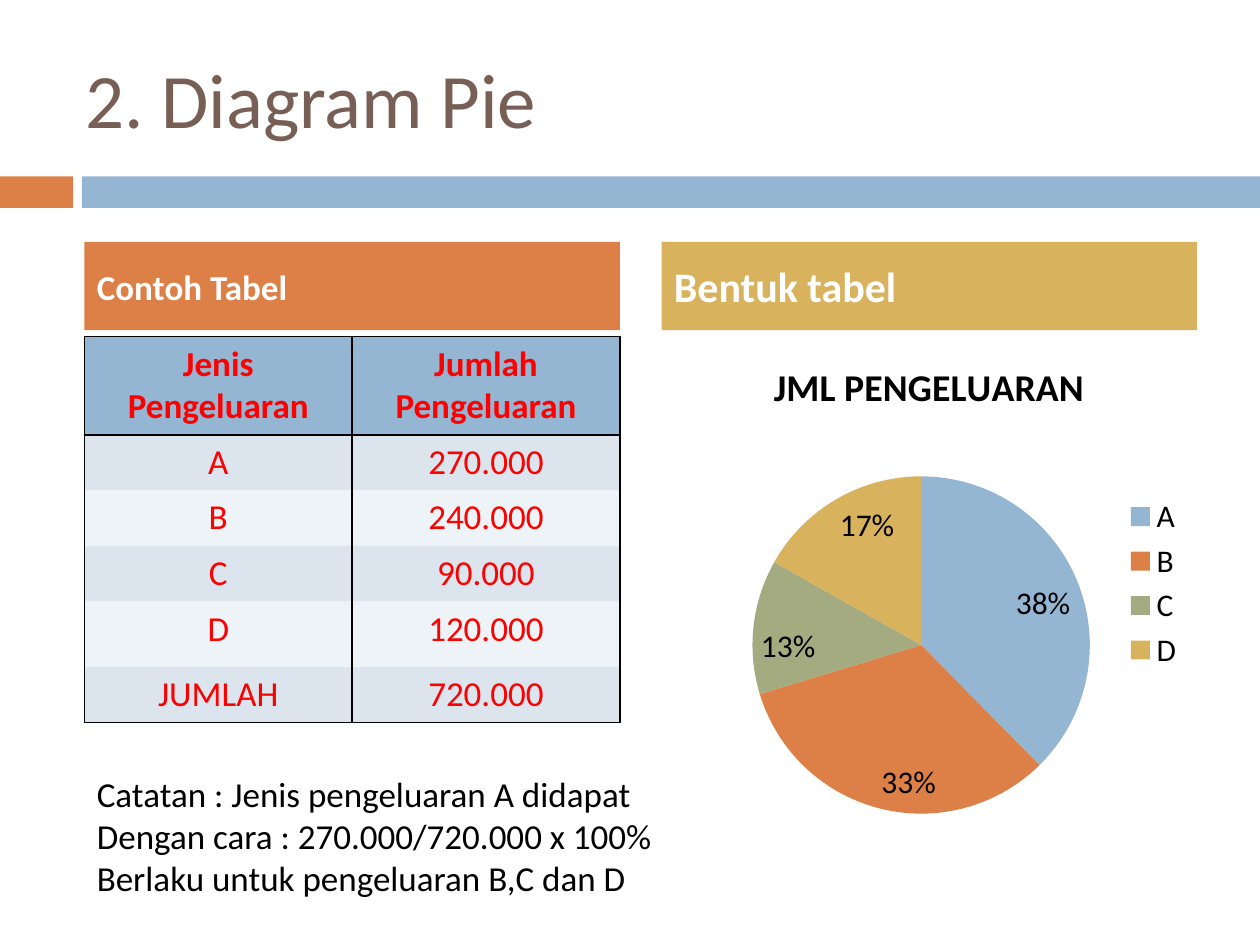
from typing import NamedTuple

import lxml.etree
import pptx
import pptx.chart.data
import pptx.dml.color
import pptx.enum.chart
import pptx.enum.shapes
import pptx.enum.text
import pptx.oxml
import pptx.oxml.ns
import pptx.util

Inches = pptx.util.Inches
Pt = pptx.util.Pt
qn = pptx.oxml.ns.qn
FONT = "Calibri"
BLUE, ORANGE, GREEN, GOLD = "94B6D2", "DD8047", "A5AB81", "D8B25C"
BLACK, WHITE, RED, BROWN = "000000", "FFFFFF", "FF0000", "775F55"
LEFT_COLUMN, RIGHT_COLUMN, COLUMN_WIDTH = 0.67, 5.25, 4.25


class Block(NamedTuple):
    left: float
    top: float
    width: float
    height: float
    color: str
    heading: str = ""
    size: float = 20


BLOCKS = [
    Block(0, 1.4, 0.58, 0.25, ORANGE),
    Block(0.65, 1.4, 9.35, 0.25, BLUE),
    Block(LEFT_COLUMN, 1.92, COLUMN_WIDTH, 0.7, ORANGE, "Contoh Tabel", 20),
    Block(RIGHT_COLUMN, 1.92, COLUMN_WIDTH, 0.7, GOLD, "Bentuk tabel", 24),
]
EXPENSES = [
    ("Jenis Pengeluaran", "Jumlah Pengeluaran"),
    ("A", "270.000"),
    ("B", "240.000"),
    ("C", "90.000"),
    ("D", "120.000"),
    ("JUMLAH", "720.000"),
]
ROW_HEIGHTS = [0.78, 0.44, 0.44, 0.44, 0.52, 0.44]
SHARES = [("A", 0.38, BLUE), ("B", 0.33, ORANGE), ("C", 0.13, GREEN), ("D", 0.17, GOLD)]
NOTE = [
    "Catatan : Jenis pengeluaran A didapat",
    "Dengan cara : 270.000/720.000 x 100%",
    "Berlaku untuk pengeluaran B,C dan D",
]


def rgb(color: str) -> pptx.dml.color.RGBColor:
    return pptx.dml.color.RGBColor.from_string(color)


def paint(fill, color: str) -> None:
    fill.solid()
    fill.fore_color.rgb = rgb(color)


def style(font, size: float, color: str, bold: bool = False) -> None:
    font.name = FONT
    font.size = Pt(size)
    font.bold = bold
    font.color.rgb = rgb(color)


def write(paragraph, text: str, size: float, color: str, bold: bool = False) -> None:
    run = paragraph.add_run()
    run.text = text
    style(run.font, size, color, bold)


def draw_block(slide, block: Block) -> None:
    shape = slide.shapes.add_shape(
        pptx.enum.shapes.MSO_SHAPE.RECTANGLE,
        *(Inches(length) for length in block[:4]))
    shape.shadow.inherit = False
    paint(shape.fill, block.color)
    shape.line.fill.background()
    if block.heading:
        frame = shape.text_frame
        frame.vertical_anchor = pptx.enum.text.MSO_ANCHOR.MIDDLE
        heading = frame.paragraphs[0]
        heading.alignment = pptx.enum.text.PP_ALIGN.LEFT
        heading.space_before = Pt(7)
        write(heading, block.heading, block.size, WHITE, True)


def border(cell, sides: str) -> None:
    """Draw 1 pt lines on the given sides (L, R, T, B) and none elsewhere."""
    properties = cell._tc.get_or_add_tcPr()
    for position, side in enumerate("LRTB"):
        line = lxml.etree.Element(qn(f"a:ln{side}"), w=str(Pt(1)))
        if side in sides:
            solid = lxml.etree.SubElement(line, qn("a:solidFill"))
            lxml.etree.SubElement(solid, qn("a:srgbClr"), val=BLACK)
        else:
            lxml.etree.SubElement(line, qn("a:noFill"))
        properties.insert(position, line)


def draw_table(slide) -> None:
    table = slide.shapes.add_table(
        len(EXPENSES), 2, Inches(LEFT_COLUMN), Inches(2.67),
        Inches(COLUMN_WIDTH), Inches(sum(ROW_HEIGHTS))).table
    for index, (entries, height) in enumerate(zip(EXPENSES, ROW_HEIGHTS)):
        table.rows[index].height = Inches(height)
        header = index == 0
        band = BLUE if header else ("DCE5EE" if index % 2 else "EEF3F7")
        sides = "LR" + ("TB" if header else "")
        sides += "T" if index == 1 else ""
        sides += "B" if index == len(EXPENSES) - 1 else ""
        for cell, entry in zip(table.rows[index].cells, entries):
            paint(cell.fill, band)
            border(cell, sides)
            paragraph = cell.text_frame.paragraphs[0]
            paragraph.alignment = pptx.enum.text.PP_ALIGN.CENTER
            write(paragraph, entry, 20, RED, header)


def place_plot(chart, **fractions: float) -> None:
    """Fix the inner plot area, as fractions of the chart frame."""
    plot_area = chart._chartSpace.chart.plotArea
    for old in plot_area.findall(qn("c:layout")):
        plot_area.remove(old)
    layout = lxml.etree.Element(qn("c:layout"))
    manual = lxml.etree.SubElement(layout, qn("c:manualLayout"))
    settings = {"layoutTarget": "inner", "xMode": "edge", "yMode": "edge", **fractions}
    for tag, value in settings.items():
        lxml.etree.SubElement(manual, qn(f"c:{tag}"), val=str(value))
    plot_area.insert(0, layout)


def draw_pie(slide) -> None:
    expenses = pptx.chart.data.CategoryChartData(number_format="0%")
    expenses.categories = [name for name, _, _ in SHARES]
    expenses.add_series("JML PENGELUARAN", [share for _, share, _ in SHARES])
    pie = slide.shapes.add_chart(
        pptx.enum.chart.XL_CHART_TYPE.PIE, Inches(RIGHT_COLUMN), Inches(2.67),
        Inches(COLUMN_WIDTH), Inches(3.92), expenses).chart
    style(pie.font, 18, BLACK)
    pie.has_title = True
    write(pie.chart_title.text_frame.paragraphs[0], "JML PENGELUARAN", 21.6, BLACK, True)
    pie.has_legend = True
    pie.legend.position = pptx.enum.chart.XL_LEGEND_POSITION.RIGHT
    pie.legend.include_in_layout = False
    plot = pie.plots[0]
    plot.vary_by_categories = True
    plot.has_data_labels = True
    labels = plot.data_labels
    labels.show_value = True
    labels.number_format = "0%"
    labels.number_format_is_linked = False
    labels.position = pptx.enum.chart.XL_LABEL_POSITION.INSIDE_END
    style(labels.font, 18, BLACK)
    for index, (_, _, color) in enumerate(SHARES):
        paint(plot.series[0].points[index].format.fill, color)
    place_plot(pie, x=0.17, y=0.28, w=0.63, h=0.69)


deck = pptx.Presentation()
deck.slide_width, deck.slide_height = Inches(10), Inches(7.5)
slide = deck.slides.add_slide(deck.slide_layouts[5])

# Title
title = slide.shapes.title
title.left, title.top = Inches(0.58), Inches(0.3)
title.width, title.height = Inches(8.92), Inches(0.95)
title.text_frame.vertical_anchor = pptx.enum.text.MSO_ANCHOR.MIDDLE
title_line = title.text_frame.paragraphs[0]
title_line.alignment = pptx.enum.text.PP_ALIGN.LEFT
write(title_line, "2. Diagram Pie", 44, BROWN)

# Bands, column headings, table and pie
for block in BLOCKS:
    draw_block(slide, block)
draw_table(slide)
draw_pie(slide)

# Note on the calculation
note = slide.shapes.add_textbox(
    Inches(LEFT_COLUMN), Inches(6.08), Inches(4.97), Inches(1.11)).text_frame
note.word_wrap = False
note.auto_size = pptx.enum.text.MSO_AUTO_SIZE.SHAPE_TO_FIT_TEXT
for index, sentence in enumerate(NOTE):
    paragraph = note.add_paragraph() if index else note.paragraphs[0]
    write(paragraph, sentence, 20, BLACK)

deck.save("out.pptx")
